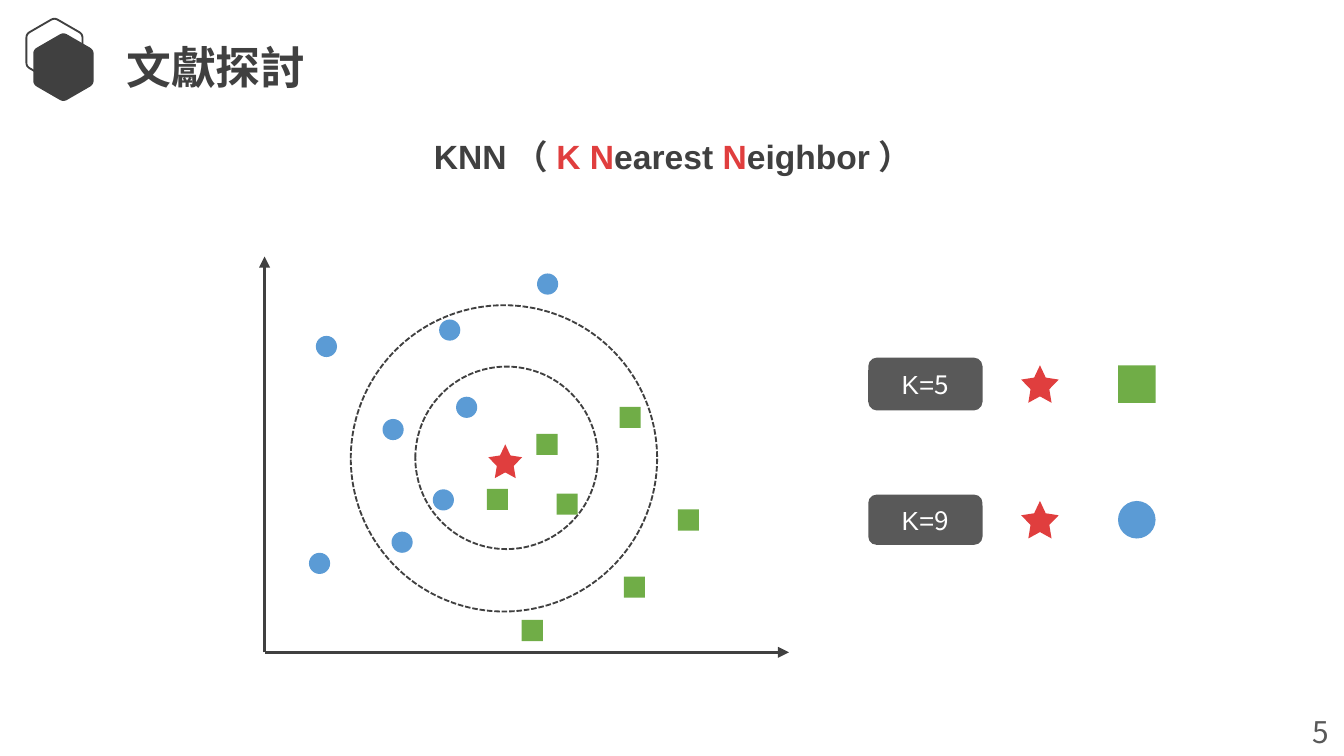
from lxml.etree import SubElement
from pptx import Presentation
from pptx.dml.color import RGBColor
from pptx.enum.dml import MSO_LINE
from pptx.enum.shapes import MSO_CONNECTOR, MSO_SHAPE as SHAPE
from pptx.enum.text import MSO_ANCHOR as ANCHOR, PP_ALIGN as ALIGN
from pptx.oxml.ns import qn
from pptx.util import Cm, Pt

DARK, GREY, RED = "404040", "595959", "E03E3E"
BLUE, GREEN, WHITE = "5B9BD5", "70AD47", "FFFFFF"
SANS, CJK = "Arial", "Noto Sans CJK JP"


def paint(fill, color):
    fill.solid()
    fill.fore_color.rgb = RGBColor.from_string(color)


def write(box, spans, size, bold=False, align=ALIGN.LEFT, anchor=ANCHOR.TOP,
          wrap=True, inset=(0.25, 0.13)):
    """Fill a box with one paragraph of (text, font, colour) spans."""
    frame = box.text_frame
    frame.word_wrap, frame.vertical_anchor = wrap, anchor
    frame.margin_left = frame.margin_right = Cm(inset[0])
    frame.margin_top = frame.margin_bottom = Cm(inset[1])
    para = frame.paragraphs[0]
    para.alignment = align
    for text, name, color in spans:
        span = para.add_run()
        span.text = text
        span.font.size, span.font.bold, span.font.name = Pt(size), bold, name
        paint(span.font.fill, color)
        SubElement(span.font._element, qn("a:ea")).set("typeface", name)


deck = Presentation()
deck.slide_width, deck.slide_height = Cm(25.4), Cm(14.29)
page = deck.slides.add_slide(deck.slide_layouts[6])
shapes = page.shapes

# Hexagon emblem: an outlined one behind a filled one, with rounded corners
for center_x, center_y, half_width, filled in [
    (1.03, 0.95, 0.53, False), (1.2, 1.27, 0.57, True),
]:
    radius = half_width * 1.155
    corners = [(0, -1), (0.866, -0.5), (0.866, 0.5),
               (0, 1), (-0.866, 0.5), (-0.866, -0.5)]
    points = []
    for i, (x, y) in enumerate(corners):
        before, after = corners[i - 1], corners[(i + 1) % 6]
        for step in range(7):
            t = step / 6
            a, b = 0.12 * (1 - t) ** 2, 0.12 * t ** 2
            points.append((
                Cm(center_x + radius * (x + a * (before[0] - x) + b * (after[0] - x))),
                Cm(center_y + radius * (y + a * (before[1] - y) + b * (after[1] - y))),
            ))
    builder = shapes.build_freeform(*points[0])
    builder.add_line_segments(points[1:], close=True)
    hexagon = builder.convert_to_shape()
    hexagon.shadow.inherit = False
    if filled:
        paint(hexagon.fill, DARK)
        hexagon.line.fill.background()
    else:
        hexagon.fill.background()
        paint(hexagon.line.fill, DARK)
        hexagon.line.width = Pt(1)

# Title, heading and page number
title = shapes.add_textbox(Cm(2.21), Cm(0.66), Cm(4.5), Cm(1.22))
write(title, [("文獻探討", CJK, DARK)], 24, bold=True, inset=(0.18, 0.1))

heading = shapes.add_textbox(Cm(5.26), Cm(2.44), Cm(14.91), Cm(1.02))
write(heading, [
    ("KNN", SANS, DARK), ("（", CJK, DARK), ("K N", SANS, RED),
    ("earest ", SANS, DARK), ("N", SANS, RED), ("eighbor", SANS, DARK),
    ("）", CJK, DARK),
], 18, bold=True, align=ALIGN.CENTER, anchor=ANCHOR.MIDDLE)

number = shapes.add_textbox(Cm(24.56), Cm(13.36), Cm(0.79), Cm(0.94))
write(number, [("5", CJK, GREY)], 16, wrap=False)

# Neighbourhood rings
for left, top, size in [(7.85, 6.93, 3.45), (6.63, 5.77, 5.79)]:
    ring = shapes.add_shape(SHAPE.OVAL, Cm(left), Cm(top), Cm(size), Cm(size))
    ring.shadow.inherit = False
    ring.fill.background()
    paint(ring.line.fill, DARK)
    ring.line.width = Pt(1)
    ring.line.dash_style = MSO_LINE.SQUARE_DOT

# Axes
for end_x, end_y in [(14.91, 12.33), (5, 4.85)]:
    axis = shapes.add_connector(
        MSO_CONNECTOR.STRAIGHT, Cm(5), Cm(12.33), Cm(end_x), Cm(end_y))
    paint(axis.line.fill, DARK)
    axis.line.width = Pt(1.5)
    SubElement(axis.line._get_or_add_ln(), qn("a:tailEnd")).set("type", "triangle")
    SubElement(axis._element.spPr, qn("a:effectLst"))

# Samples of both classes, and the point to classify
circles = [(5.97, 6.35), (7.23, 7.92), (8.62, 7.5), (8.18, 9.25), (5.84, 10.45),
           (10.15, 5.17), (8.3, 6.04), (7.4, 10.05)]
squares = [(9.2, 9.24), (10.14, 8.2), (11.79, 10.9), (10.52, 9.33),
           (11.71, 7.69), (12.81, 9.63), (9.86, 11.72)]
marks = [(SHAPE.OVAL, x, y, 0.4, BLUE) for x, y in circles]
marks += [(SHAPE.RECTANGLE, x, y, 0.4, GREEN) for x, y in squares]
marks.append((SHAPE.STAR_5_POINT, 9.23, 8.4, 0.64, RED))

# Results for each K: label, star and the class it gets
for k, top, height, kind, color in [
    ("5", 6.76, 1, SHAPE.RECTANGLE, GREEN), ("9", 9.35, 0.95, SHAPE.OVAL, BLUE),
]:
    label = shapes.add_shape(
        SHAPE.ROUNDED_RECTANGLE, Cm(16.41), Cm(top), Cm(2.16), Cm(height))
    label.shadow.inherit = False
    paint(label.fill, GREY)
    label.line.fill.background()
    write(label, [("K=", SANS, WHITE), (k, CJK, WHITE)], 14,
          align=ALIGN.CENTER, anchor=ANCHOR.MIDDLE)
    mark_top = top + (height - 0.71) / 2
    marks.append((SHAPE.STAR_5_POINT, 19.3, mark_top, 0.71, RED))
    marks.append((kind, 21.13, mark_top, 0.71, color))

for kind, left, top, size, color in marks:
    mark = shapes.add_shape(kind, Cm(left), Cm(top), Cm(size), Cm(size))
    mark.shadow.inherit = False
    paint(mark.fill, color)
    mark.line.fill.background()
    if kind == SHAPE.STAR_5_POINT:
        mark.adjustments[0] = 0.25

deck.save("out.pptx")
